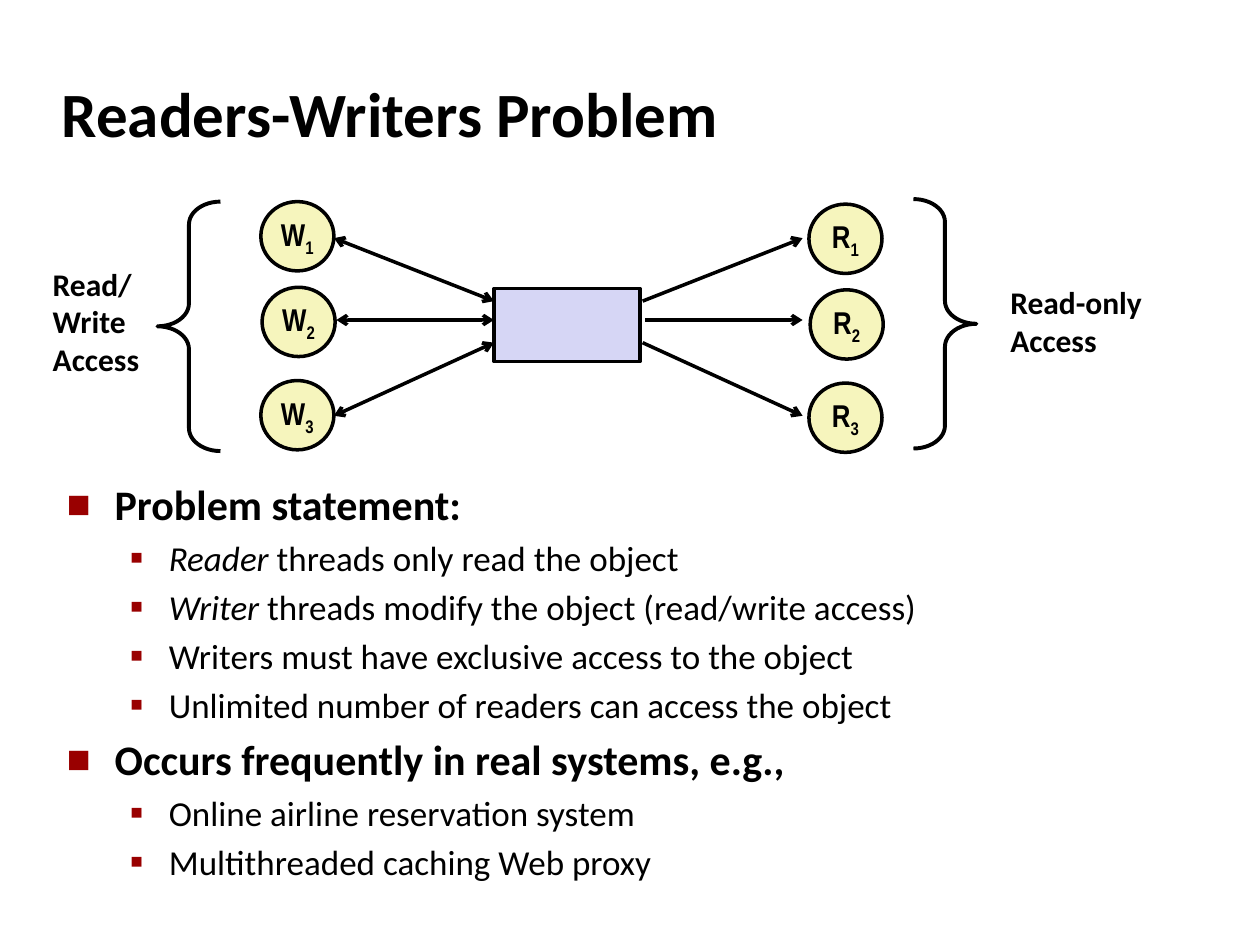
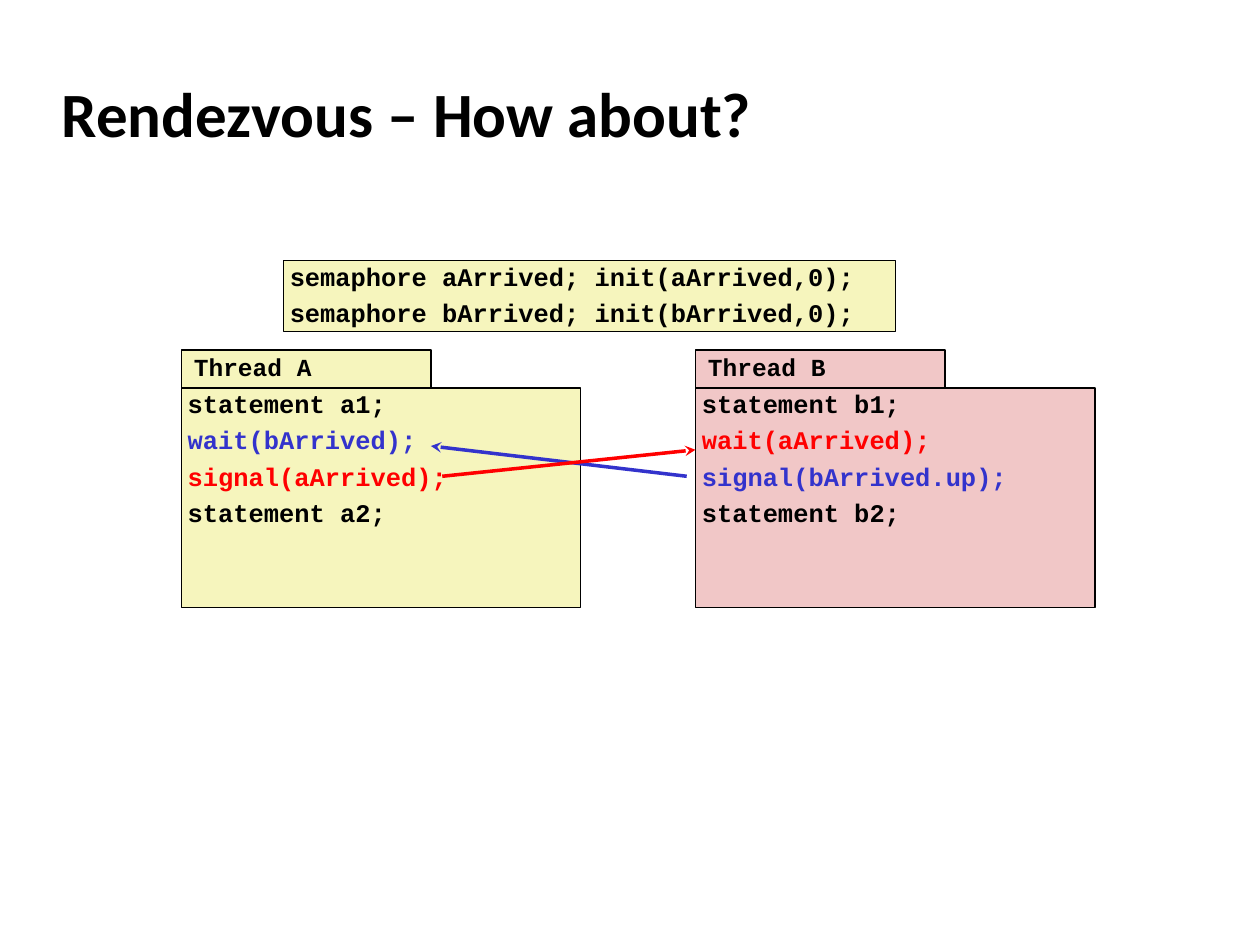
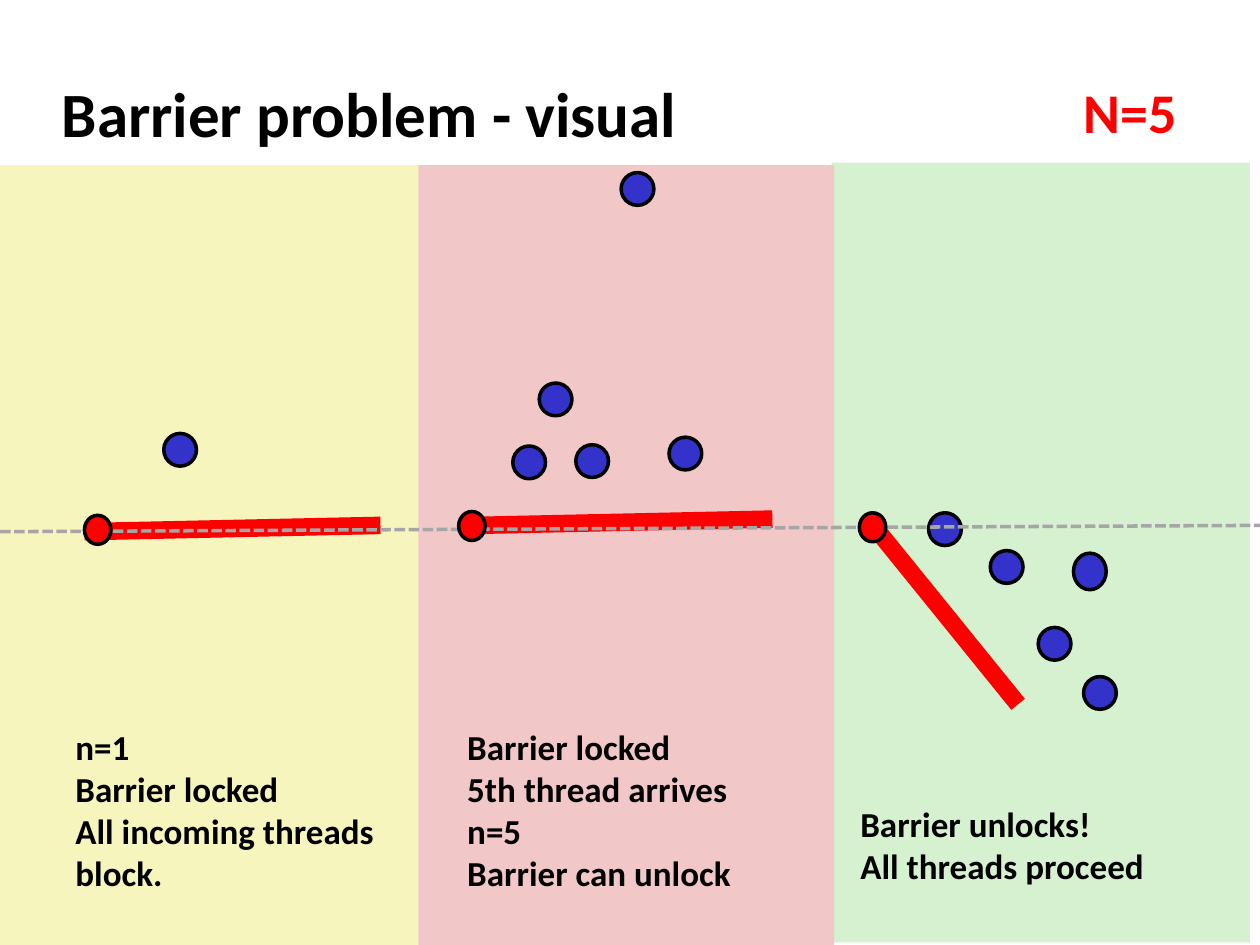
from dataclasses import dataclass
from typing import Optional, Sequence

from pptx import Presentation
from pptx.dml.color import RGBColor
from pptx.enum.dml import MSO_LINE
from pptx.enum.shapes import MSO_CONNECTOR, MSO_SHAPE
from pptx.enum.text import MSO_ANCHOR, MSO_AUTO_SIZE, PP_ALIGN
from pptx.oxml.ns import qn
from pptx.shapes.autoshape import Shape
from pptx.slide import Slide
from pptx.text.text import TextFrame
from pptx.util import Inches, Pt
from lxml.etree import SubElement


# Shared look
@dataclass(frozen=True)
class Theme:
    black: str = "000000"
    red: str = "FF0000"
    blue: str = "3333CC"
    gray: str = "A6A6A6"
    bullet: str = "990000"
    yellow: str = "F6F5BD"
    pink: str = "F1C7C7"
    green: str = "D5F1CF"
    lavender: str = "D6D6F5"
    sans: str = "Calibri"
    narrow: str = "Arial Narrow"
    mono: str = "Courier New"
    title_size: float = 36
    count_size: float = 32
    topic_size: float = 24
    detail_size: float = 20
    label_size: float = 18
    code_size: float = 14.5
    tab_size: float = 14
    outline: float = 2
    code_outline: float = 0.74


THEME = Theme()


@dataclass(frozen=True)
class Box:
    left: float
    top: float
    width: float
    height: float

    def emu(self) -> tuple:
        return tuple(Inches(n) for n in (self.left, self.top, self.width, self.height))


@dataclass(frozen=True)
class Style:
    font: str = THEME.sans
    size: float = THEME.label_size
    bold: bool = True
    color: str = THEME.black


@dataclass(frozen=True)
class Words:
    text: str
    color: Optional[str] = None
    italic: bool = False
    subscript: bool = False


@dataclass(frozen=True)
class Bullet:
    words: Sequence[Words]
    level: int = 0


@dataclass(frozen=True)
class BulletLevel:
    style: Style
    indent: float
    hang: float
    mark: str
    mark_percent: int


@dataclass(frozen=True)
class Arrow:
    start: tuple
    end: tuple
    color: str = THEME.black
    width: float = THEME.outline
    head: Optional[str] = None
    tail: Optional[str] = None
    dash: Optional[MSO_LINE] = None


@dataclass(frozen=True)
class Thread:
    name: str
    left: float
    fill: str
    code: Sequence[Words]


@dataclass(frozen=True)
class Stage:
    panel: Box
    fill: str
    gate: Arrow
    hinge: tuple
    dots: Sequence[tuple]
    caption: Box
    lines: Sequence[str]


TITLE_BOX = Box(0.39, 0.48, 8.3, 0.83)
LEVELS = (
    BulletLevel(Style(size=THEME.topic_size), 0.38, 0.38, "■", 60),
    BulletLevel(Style(size=THEME.detail_size, bold=False), 0.81, 0.31, "▪", 110),
)
CODE = Style(THEME.mono, THEME.code_size)


def rgb(value: str) -> RGBColor:
    return RGBColor.from_string(value)


# Text helpers
def add_words(paragraph, words: Sequence[Words], style: Style) -> None:
    for part in words:
        run = paragraph.add_run()
        run.text = part.text
        font = run.font
        font.name, font.size, font.bold = style.font, Pt(style.size), style.bold
        font.italic = part.italic
        font.color.rgb = rgb(part.color or style.color)
        if part.subscript:
            run._r.get_or_add_rPr().set("baseline", "-25000")


def fill_frame(frame: TextFrame, lines: Sequence[Sequence[Words]], style: Style,
               align=PP_ALIGN.LEFT, is_code: bool = False) -> None:
    for index, words in enumerate(lines):
        paragraph = frame.paragraphs[0] if index == 0 else frame.add_paragraph()
        paragraph.alignment = align
        if is_code:
            paragraph.line_spacing, paragraph.space_before = 0.8, Pt(6.8)
        add_words(paragraph, words, style)


def set_insets(frame: TextFrame, across: float, down: float) -> None:
    frame.margin_left = frame.margin_right = Inches(across)
    frame.margin_top = frame.margin_bottom = Inches(down)


def add_label(slide: Slide, box: Box, lines: Sequence[str], style: Style,
              wrap: bool = False) -> None:
    frame = slide.shapes.add_textbox(*box.emu()).text_frame
    frame.word_wrap = wrap
    frame.auto_size = MSO_AUTO_SIZE.SHAPE_TO_FIT_TEXT
    fill_frame(frame, [[Words(line)] for line in lines], style)


def place(holder, box: Box) -> None:
    holder.left, holder.top, holder.width, holder.height = box.emu()


def add_slide(deck, layout: int, title: str) -> Slide:
    slide = deck.slides.add_slide(deck.slide_layouts[layout])
    heading = slide.shapes.title
    place(heading, TITLE_BOX)
    frame = heading.text_frame
    frame.vertical_anchor = MSO_ANCHOR.MIDDLE
    frame.auto_size = MSO_AUTO_SIZE.NONE
    fill_frame(frame, [[Words(title)]], Style(size=THEME.title_size))
    return slide


def fill_bullets(holder, box: Box, bullets: Sequence[Bullet]) -> None:
    place(holder, box)
    frame = holder.text_frame
    frame.auto_size = MSO_AUTO_SIZE.NONE
    for index, bullet in enumerate(bullets):
        level = LEVELS[bullet.level]
        paragraph = frame.paragraphs[0] if index == 0 else frame.add_paragraph()
        paragraph.level = bullet.level
        paragraph.space_before = Pt(level.style.size * 0.2)
        props = paragraph._p.get_or_add_pPr()
        props.set("marL", str(Inches(level.indent)))
        props.set("indent", str(-Inches(level.hang)))
        color = SubElement(props, qn("a:buClr"))
        SubElement(color, qn("a:srgbClr"), val=THEME.bullet)
        SubElement(props, qn("a:buSzPct"), val=str(level.mark_percent * 1000))
        SubElement(props, qn("a:buFont"), typeface=THEME.sans)
        SubElement(props, qn("a:buChar"), char=level.mark)
        add_words(paragraph, bullet.words, level.style)


# Drawing helpers
def add_figure(slide: Slide, kind: MSO_SHAPE, box: Box, fill: Optional[str],
               outline: Optional[float] = THEME.outline) -> Shape:
    figure = slide.shapes.add_shape(kind, *box.emu())
    figure.shadow.inherit = False
    if fill:
        figure.fill.solid()
        figure.fill.fore_color.rgb = rgb(fill)
    else:
        figure.fill.background()
    if outline:
        figure.line.color.rgb = rgb(THEME.black)
        figure.line.width = Pt(outline)
    else:
        figure.line.fill.background()
    return figure


def add_arrow(slide: Slide, arrow: Arrow) -> None:
    ends = [Inches(n) for n in (*arrow.start, *arrow.end)]
    connector = slide.shapes.add_connector(MSO_CONNECTOR.STRAIGHT, *ends)
    connector.line.color.rgb = rgb(arrow.color)
    connector.line.width = Pt(arrow.width)
    if arrow.dash:
        connector.line.dash_style = arrow.dash
    props = connector._element.spPr
    for tag, kind in (("a:headEnd", arrow.head), ("a:tailEnd", arrow.tail)):
        if kind:
            SubElement(props.find(qn("a:ln")), qn(tag), type=kind)
    SubElement(props, qn("a:effectLst"))


def add_node(slide: Slide, left: float, top: float, letter: str, number: int) -> None:
    node = add_figure(slide, MSO_SHAPE.OVAL, Box(left, top, 0.58, 0.55), THEME.yellow)
    frame = node.text_frame
    frame.word_wrap = False
    frame.vertical_anchor = MSO_ANCHOR.MIDDLE
    set_insets(frame, 0.1, 0)
    fill_frame(frame, [[Words(letter), Words(str(number), subscript=True)]],
               Style(THEME.narrow), PP_ALIGN.CENTER)


def add_brace(slide: Slide, kind: MSO_SHAPE, left: float, top: float) -> None:
    brace = add_figure(slide, kind, Box(left, top, 0.5, 1.98), None, 2.25)
    brace.adjustments[0] = 0.364
    brace.adjustments[1] = 0.5


def add_code(slide: Slide, box: Box, fill: str, lines: Sequence[Words]) -> None:
    frame = add_figure(slide, MSO_SHAPE.RECTANGLE, box, fill, THEME.code_outline).text_frame
    frame.word_wrap = True
    frame.vertical_anchor = MSO_ANCHOR.TOP
    set_insets(frame, 0.05, 0.05)
    fill_frame(frame, [[line] for line in lines], CODE, is_code=True)


def add_thread(slide: Slide, thread: Thread) -> None:
    add_code(slide, Box(thread.left, 3.08, 3.17, 1.74), thread.fill, thread.code)
    tab = add_figure(slide, MSO_SHAPE.RECTANGLE, Box(thread.left, 2.78, 1.98, 0.3),
                     thread.fill, 1)
    frame = tab.text_frame
    frame.word_wrap = True
    frame.vertical_anchor = MSO_ANCHOR.MIDDLE
    set_insets(frame, 0.1, 0.05)
    fill_frame(frame, [[Words(thread.name)]], Style(THEME.mono, THEME.tab_size), is_code=True)


# Slide 1: readers and writers around a shared object
def build_readers_writers(deck) -> None:
    slide = add_slide(deck, 1, "Readers-Writers Problem")
    fill_bullets(slide.placeholders[1], Box(0.43, 3.75, 8.64, 3.18), [
        Bullet([Words("Problem statement:")]),
        Bullet([Words("Reader", italic=True), Words(" threads only read the object")], 1),
        Bullet([Words("Writer", italic=True),
                Words(" threads modify the object (read/write access)")], 1),
        Bullet([Words("Writers must have exclusive access to the object")], 1),
        Bullet([Words("Unlimited number of readers can access the object")], 1),
        Bullet([Words("Occurs frequently in real systems, e.g.,")]),
        Bullet([Words("Online airline reservation system")], 1),
        Bullet([Words("Multithreaded caching Web proxy")], 1),
    ])
    add_figure(slide, MSO_SHAPE.RECTANGLE, Box(3.92, 2.29, 1.16, 0.58), THEME.lavender)

    # One row per writer and reader: node top, outer and inner arrow heights, nudge
    rows = ((1.6, 1.89, 2.39, 0), (2.28, 2.54, 2.54, 0.01), (3.02, 3.3, 2.72, 0))
    for number, (top, outer, inner, nudge) in enumerate(rows, start=1):
        add_node(slide, 2.07 + nudge, top, "W", number)
        add_node(slide, 6.42 + nudge, top + 0.02, "R", number)
        add_arrow(slide, Arrow((2.65 + 2 * nudge, outer), (3.92, inner),
                               head="arrow", tail="arrow"))
        add_arrow(slide, Arrow((6.37, outer), (5.1 + 2 * nudge, inner), head="arrow"))

    add_brace(slide, MSO_SHAPE.LEFT_BRACE, 1.25, 1.6)
    add_brace(slide, MSO_SHAPE.RIGHT_BRACE, 7.25, 1.58)
    add_label(slide, Box(0.32, 2.05, 0.89, 1.01), ["Read/", "Write", "Access"], Style())
    add_label(slide, Box(7.92, 2.2, 1.27, 0.71), ["Read-only", "Access"], Style())


# Slide 2: two threads that wait for each other
def build_rendezvous(deck) -> None:
    slide = add_slide(deck, 5, "Rendezvous – How about?")
    threads = (
        Thread("Thread A", 1.44, THEME.yellow, [
            Words("statement a1;"), Words("wait(bArrived);", THEME.blue),
            Words("signal(aArrived);", THEME.red), Words("statement a2;")]),
        Thread("Thread B", 5.52, THEME.pink, [
            Words("statement b1;"), Words("wait(aArrived);", THEME.red),
            Words("signal(bArrived.up);", THEME.blue), Words("statement b2;")]),
    )
    for thread in threads:
        add_thread(slide, thread)
    add_code(slide, Box(2.25, 2.07, 4.86, 0.56), THEME.yellow,
             [Words(f"semaphore {name}; init({name},0);") for name in ("aArrived", "bArrived")])
    add_arrow(slide, Arrow((3.42, 3.54), (5.45, 3.78), THEME.blue, head="stealth"))
    add_arrow(slide, Arrow((3.51, 3.78), (5.52, 3.57), THEME.red, tail="stealth"))


# Slide 3: three stages of a barrier
def build_barrier(deck) -> None:
    slide = add_slide(deck, 5, "Barrier problem - visual")

    def gate(start: tuple, end: tuple) -> Arrow:
        return Arrow(start, end, THEME.red, 10)

    stages = (
        Stage(Box(0, 1.31, 3.32, 6.19), THEME.yellow, gate((0.67, 4.22), (3.02, 4.17)),
              (0.67, 4.09), [(1.3, 3.44)], Box(0.5, 5.71, 2.68, 1.45),
              ["n=1", "Barrier locked", "All incoming threads block."]),
        Stage(Box(3.3, 1.31, 3.32, 6.19), THEME.pink, gate((3.78, 4.17), (6.13, 4.12)),
              (3.64, 4.06),
              [(4.07, 3.54), (4.28, 3.04), (4.57, 3.53), (4.93, 1.37), (5.31, 3.47)],
              Box(3.61, 5.71, 2.68, 1.45),
              ["Barrier locked", "5th thread arrives", "n=5", "Barrier can unlock"]),
        Stage(Box(6.6, 1.29, 3.32, 6.19), THEME.green, gate((6.89, 4.12), (8.08, 5.59)),
              (6.82, 4.07),
              [(7.37, 4.07), (8.52, 4.39, 0.29), (7.86, 4.37), (8.24, 4.98), (8.6, 5.37)],
              Box(6.73, 6.32, 2.68, 0.77), ["Barrier unlocks!", "All threads proceed"]),
    )
    # Each panel slightly overlaps the one to its right
    for stage in reversed(stages):
        add_figure(slide, MSO_SHAPE.RECTANGLE, stage.panel, stage.fill, None)
    for stage in stages:
        add_arrow(slide, stage.gate)
        for left, top, *height in stage.dots:
            add_figure(slide, MSO_SHAPE.OVAL,
                       Box(left, top, 0.26, height[0] if height else 0.26), THEME.blue)
        add_label(slide, stage.caption, stage.lines, Style(size=THEME.detail_size), wrap=True)
    add_label(slide, Box(8.5, 0.57, 0.95, 0.64), ["N=5"],
              Style(size=THEME.count_size, color=THEME.red))

    # Barrier line, with the hinges on top
    add_arrow(slide, Arrow((0, 4.22), (10, 4.17), THEME.gray, dash=MSO_LINE.SQUARE_DOT))
    for stage in stages:
        add_figure(slide, MSO_SHAPE.OVAL, Box(*stage.hinge, 0.21, 0.23), THEME.red)


deck = Presentation()
deck.slide_width, deck.slide_height = Inches(10), Inches(7.5)
build_readers_writers(deck)
build_rendezvous(deck)
build_barrier(deck)
deck.save("out.pptx")
